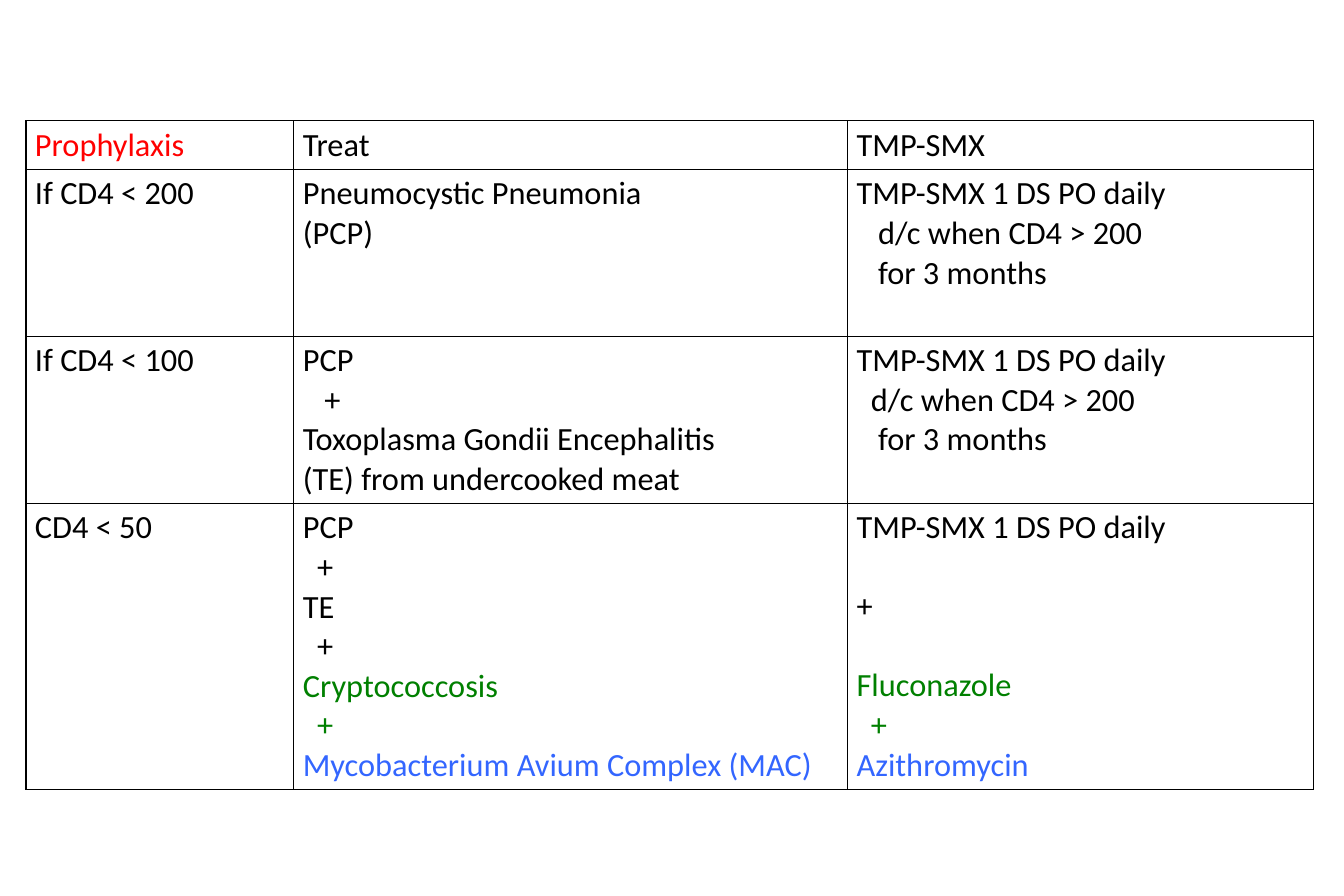
import pptx
import pptx.dml.color
import pptx.oxml
import pptx.oxml.ns
import pptx.util

Inches = pptx.util.Inches
Pt = pptx.util.Pt
RGBColor = pptx.dml.color.RGBColor

BLACK = RGBColor(0x00, 0x00, 0x00)
RED = RGBColor(0xFF, 0x00, 0x00)
GREEN = RGBColor(0x00, 0x80, 0x00)
BLUE = RGBColor(0x33, 0x66, 0xFF)


def line(text, color=BLACK, spaces=0, skip=0):
    return text, color, spaces, skip


DOSE = line("TMP-SMX 1 DS PO daily")
PCP = line("PCP")
PLUS = line("+", spaces=2)
GREEN_PLUS = line("+", GREEN, spaces=2)
MONTHS = line("for 3 months", spaces=3)

ROWS = [
    [[line("Prophylaxis", RED)], [line("Treat")], [line("TMP-SMX")]],
    [
        [line("If CD4 < 200")],
        [line("Pneumocystic Pneumonia"), line("(PCP)")],
        [DOSE, line("d/c when CD4 > 200", spaces=3), MONTHS],
    ],
    [
        [line("If CD4 < 100")],
        [
            PCP,
            line("+", spaces=3),
            line("Toxoplasma Gondii Encephalitis"),
            line("(TE) from undercooked meat"),
        ],
        [DOSE, line("d/c when CD4 > 200", spaces=2), MONTHS],
    ],
    [
        [line("CD4 < 50")],
        [
            PCP,
            PLUS,
            line("TE"),
            PLUS,
            line("Cryptococcosis", GREEN),
            GREEN_PLUS,
            line("Mycobacterium Avium Complex (MAC)", BLUE),
        ],
        [
            DOSE,
            line("+", skip=1),
            line("Fluconazole", GREEN, skip=1),
            GREEN_PLUS,
            line("Azithromycin", BLUE),
        ],
    ],
]
WIDTHS = [2.99, 6.18, 5.2]
HEIGHTS = [0.54, 1.86, 1.86, 3.19]


class Deck:
    font = "Calibri"
    size = Pt(26)
    pitch = Pt(31.7)
    space = Inches(0.08)

    def __init__(self, wide, high):
        self.file = pptx.Presentation()
        self.file.slide_width = Inches(wide)
        self.file.slide_height = Inches(high)
        self.slide = self.file.slides.add_slide(self.file.slide_layouts[6])

    def border(self, cell):
        props = cell._tc.get_or_add_tcPr()
        for side in "LRTB":
            props.append(pptx.oxml.parse_xml(
                f'<a:ln{side} {pptx.oxml.ns.nsdecls("a")} w="{Pt(1)}">'
                f'<a:solidFill><a:srgbClr val="{BLACK}"/></a:solidFill>'
                f'</a:ln{side}>'
            ))

    def text(self, frame, lines):
        for index, (words, color, spaces, skip) in enumerate(lines):
            para = frame.paragraphs[0] if index == 0 else frame.add_paragraph()
            para.text = words
            if spaces:
                para._p.get_or_add_pPr().set("marL", str(spaces * self.space))
            if skip:
                para.space_before = self.pitch
            para.font.name = self.font
            para.font.size = self.size
            para.font.color.rgb = color

    def table(self, left, top, widths, heights, rows):
        grid = self.slide.shapes.add_table(
            len(heights), len(widths), Inches(left), Inches(top),
            Inches(sum(widths)), Inches(sum(heights)),
        ).table
        grid.first_row = False
        grid.horz_banding = False
        for column, width in zip(grid.columns, widths):
            column.width = Inches(width)
        for row, height, cells in zip(grid.rows, heights, rows):
            row.height = Inches(height)
            for cell, lines in zip(row.cells, cells):
                self.border(cell)
                cell.fill.background()
                self.text(cell.text_frame, lines)


def main():
    deck = Deck(15, 10)
    deck.table(0.29, 1.35, WIDTHS, HEIGHTS, ROWS)
    deck.file.save("out.pptx")


if __name__ == "__main__":
    main()
